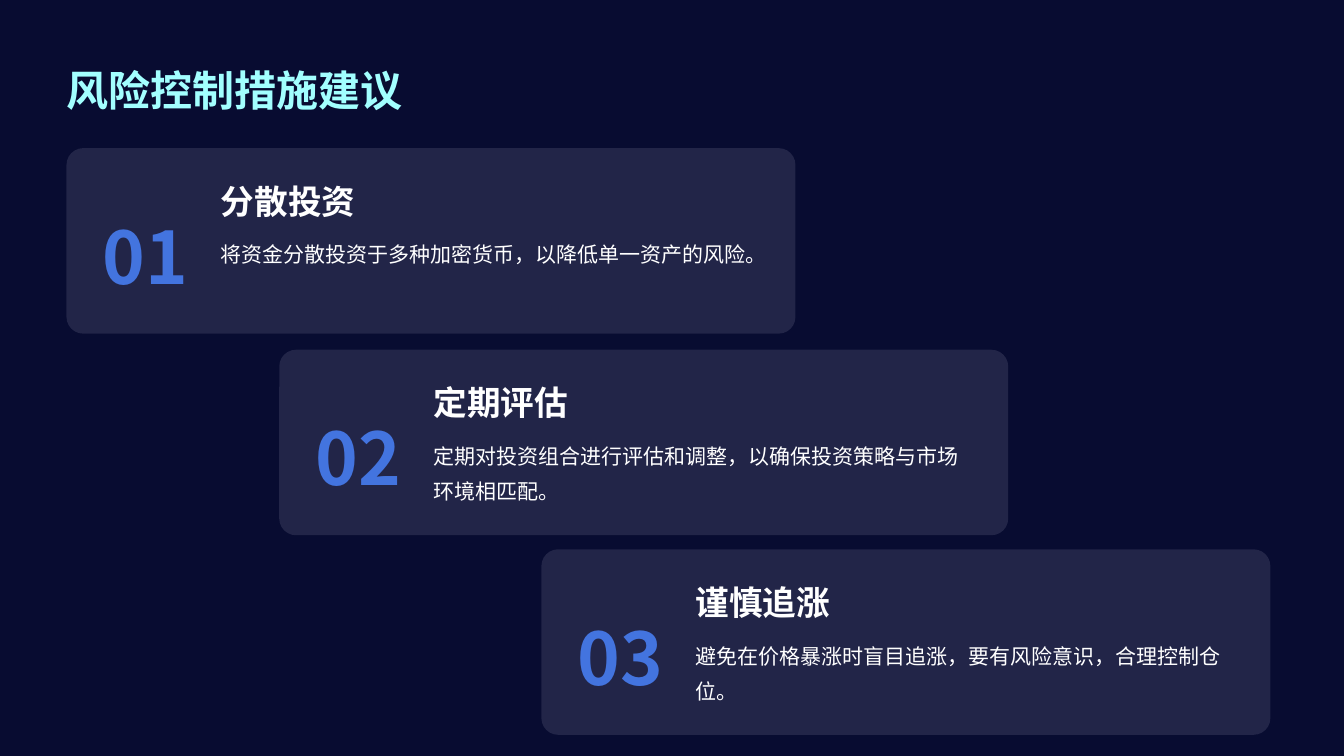
import pptx
import pptx.dml.color
import pptx.enum.shapes
import pptx.enum.text
import pptx.oxml
import pptx.oxml.ns
import pptx.util
from pptx.util import Inches

ANCHOR = pptx.enum.text.MSO_ANCHOR
ALIGN = pptx.enum.text.PP_ALIGN
TITLE_ONLY = 5

# Content: left and top of each card, heading, body
MEASURES = [
    (0.66, 1.47, "分散投资", "将资金分散投资于多种加密货币，以降低单一资产的风险。"),
    (2.77, 3.47, "定期评估", "定期对投资组合进行评估和调整，以确保投资策略与市场环境相匹配。"),
    (5.37, 5.45, "谨慎追涨", "避免在价格暴涨时盲目追涨，要有风险意识，合理控制仓位。"),
]


def color(value):
    return pptx.dml.color.RGBColor.from_string(value)


def write(shape, text, size, ink="FFFFFF", font="Noto Sans CJK SC", bold=False,
          align=ALIGN.LEFT, anchor=ANCHOR.TOP, spacing=1.4, before=0,
          insets=(0.12, 0.06, 0.12, 0.06)):
    """Put one formatted paragraph into a shape."""
    frame = shape.text_frame
    frame.word_wrap = True
    frame.auto_size = pptx.enum.text.MSO_AUTO_SIZE.NONE
    frame.vertical_anchor = anchor
    frame.margin_left, frame.margin_top, frame.margin_right, frame.margin_bottom = map(Inches, insets)
    para = frame.paragraphs[0]
    para.alignment = align
    para.line_spacing = spacing
    para.space_before = pptx.util.Pt(before)
    span = para.add_run()
    span.text = text
    span.font.size = pptx.util.Pt(size)
    span.font.bold = bold
    span.font.color.rgb = color(ink)
    span.font.name = font
    # East Asian glyphs take their own typeface
    east_asian = pptx.oxml.parse_xml(
        f'<a:ea {pptx.oxml.ns.nsdecls("a")} typeface="{font}"/>')
    span.font._element.append(east_asian)


class RiskSlide:
    background = "080C31"
    card_fill = "292C4E"
    card_opacity = 80
    title_ink = "A2FFFF"
    number_ink = "4374DF"

    def __init__(self, deck):
        self.page = deck.slides.add_slide(deck.slide_layouts[TITLE_ONLY])
        fill = self.page.background.fill
        fill.solid()
        fill.fore_color.rgb = color(self.background)

    def title(self, text):
        shape = self.page.shapes.title
        shape.left, shape.top = Inches(0.52), Inches(0.29)
        shape.width, shape.height = Inches(12.29), Inches(1)
        write(shape, text, 30, ink=self.title_ink, bold=True, anchor=ANCHOR.MIDDLE,
              insets=(0.14, 0.14, 0.06, 0.14))

    def panel(self, left, top, width, height):
        shape = self.page.shapes.add_shape(
            pptx.enum.shapes.MSO_SHAPE.ROUNDED_RECTANGLE,
            Inches(left), Inches(top), Inches(width), Inches(height))
        shape.adjustments[0] = 0.09
        shape.shadow.inherit = False
        shape.line.fill.background()
        shape.fill.solid()
        shape.fill.fore_color.rgb = color(self.card_fill)
        # Transparency of the panel fill
        tint = shape._element.spPr.find(".//" + pptx.oxml.ns.qn("a:srgbClr"))
        tint.append(pptx.oxml.parse_xml(
            f'<a:alpha {pptx.oxml.ns.nsdecls("a")} val="{self.card_opacity * 1000}"/>'))

    def label(self, left, top, width, height, text, size, **style):
        box = self.page.shapes.add_textbox(
            Inches(left), Inches(top), Inches(width), Inches(height))
        write(box, text, size, **style)

    def card(self, number, left, top, heading, body):
        self.panel(left, top, 7.23, 1.84)
        self.label(left + 0.16, top + 0.37, 1.25, 1.21, f"{number:02d}", 51.8,
                   ink=self.number_ink, bold=True, align=ALIGN.CENTER,
                   anchor=ANCHOR.MIDDLE, spacing=1.2, before=4.5)
        self.label(left + 1.41, top + 0.15, 3.82, 0.63, heading, 24,
                   bold=True, anchor=ANCHOR.BOTTOM, spacing=1.2)
        self.label(left + 1.41, top + 0.77, 5.46, 0.89, body, 15)


def main():
    deck = pptx.Presentation()
    deck.slide_width, deck.slide_height = Inches(13.33), Inches(7.5)

    # Heading
    slide = RiskSlide(deck)
    slide.title("风险控制措施建议")

    # Staircase of numbered cards
    for number, measure in enumerate(MEASURES, start=1):
        slide.card(number, *measure)

    deck.save("out.pptx")


if __name__ == "__main__":
    main()
